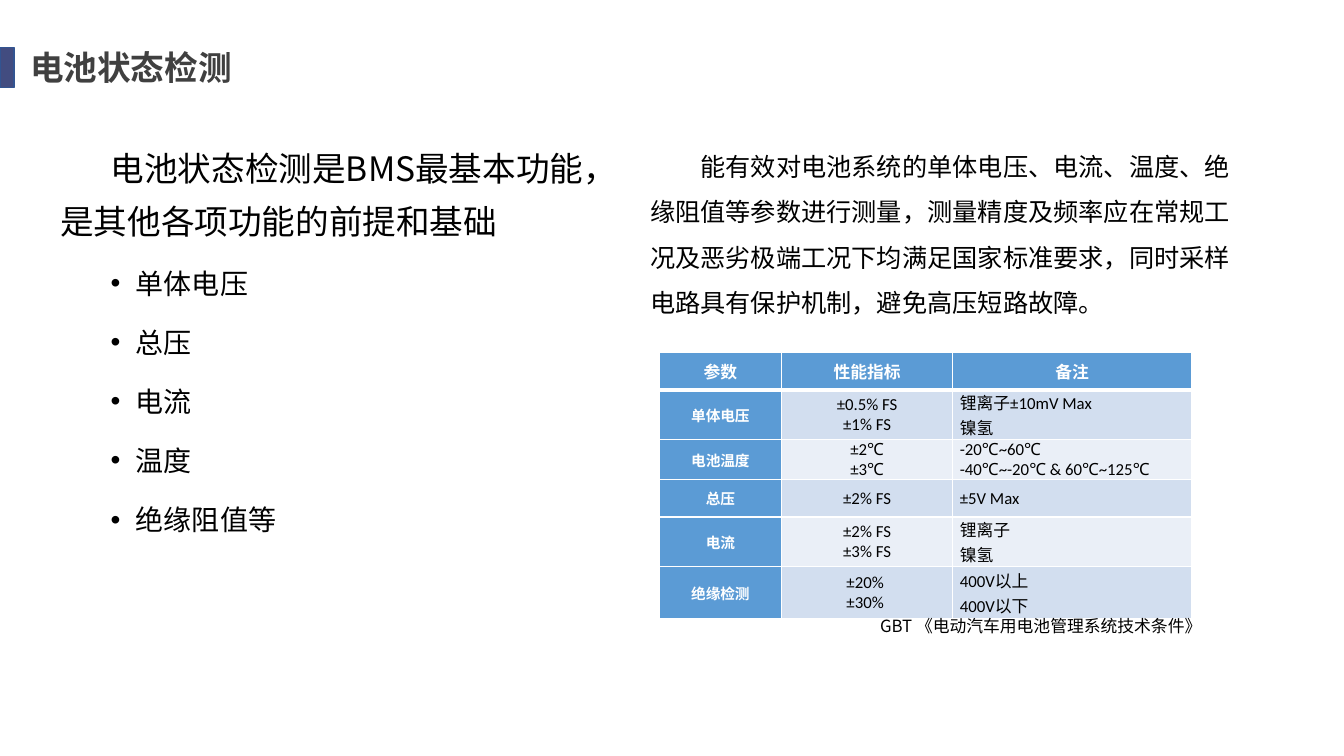
from lxml.etree import SubElement
from pptx import Presentation
from pptx.dml.color import RGBColor
from pptx.enum.shapes import MSO_SHAPE
from pptx.enum.text import MSO_ANCHOR, PP_ALIGN
from pptx.oxml.ns import qn
from pptx.util import Inches, Pt

SANS = "Noto Sans CJK SC"
TITLE = "电池状态检测"
SUMMARY = "电池状态检测是BMS最基本功能，是其他各项功能的前提和基础"
ITEMS = ["单体电压", "总压", "电流", "温度", "绝缘阻值等"]
REQUIREMENT = (
    "能有效对电池系统的单体电压、电流、温度、绝缘阻值等参数进行测量，"
    "测量精度及频率应在常规工况及恶劣极端工况下均满足国家标准要求，"
    "同时采样电路具有保护机制，避免高压短路故障。"
)
STANDARD = "GBT 《电动汽车用电池管理系统技术条件》"
TABLE = [
    (["参数"], ["性能指标"], ["备注"]),
    (["单体电压"], ["±0.5% FS", "±1% FS"], ["锂离子±10mV Max", "镍氢"]),
    (["电池温度"], ["±2℃", "±3℃"], ["-20℃~60℃", "-40℃~-20℃ & 60℃~125℃"]),
    (["总压"], ["±2% FS"], ["±5V Max"]),
    (["电流"], ["±2% FS", "±3% FS"], ["锂离子", "镍氢"]),
    (["绝缘检测"], ["±20% ", "±30% "], ["400V以上", "400V以下"]),
]
COLUMN_WIDTHS = [1.21, 1.7, 2.37]
ROW_HEIGHTS = [0.37, 0.49, 0.4, 0.37, 0.49, 0.52]
HEADER_FILL = "5B9BD5"
BAND_FILLS = ["EAEFF7", "D2DEEF"]


def color(value):
    return RGBColor.from_string(value)


def write(para, text, size=12, font=SANS, fill="000000", bold=False, align=PP_ALIGN.LEFT,
          line=None, before=0, after=0, margin=0, indent=0, bullet=None):
    properties = para._p.get_or_add_pPr()
    if margin:
        properties.set("marL", str(Inches(margin)))
        properties.set("indent", str(Inches(indent)))
    if bullet:
        SubElement(properties, qn("a:buFont"), typeface="Arial")
        SubElement(properties, qn("a:buChar"), char=bullet)
    para.alignment = align
    para.line_spacing = line
    para.space_before, para.space_after = Pt(before), Pt(after)
    span = para.add_run()
    span.text = text
    span.font.size, span.font.bold, span.font.name = Pt(size), bold, font
    span.font.color.rgb = color(fill)
    SubElement(span._r.get_or_add_rPr(), qn("a:ea"), typeface=SANS)


def add_box(page, left, top, width, height, anchor=MSO_ANCHOR.TOP):
    frame = page.shapes.add_textbox(*map(Inches, (left, top, width, height))).text_frame
    frame.word_wrap = True
    frame.vertical_anchor = anchor
    return frame


def add_borders(cell, header):
    properties = cell._tc.get_or_add_tcPr()
    for index, side in enumerate(("lnL", "lnR", "lnT", "lnB")):
        width = 3 if header and side == "lnB" else 1
        border = SubElement(properties, qn("a:" + side), w=str(Pt(width)))
        SubElement(SubElement(border, qn("a:solidFill")), qn("a:srgbClr"), val="FFFFFF")
        properties.remove(border)
        properties.insert(index, border)


def add_metrics(page):
    size = (sum(COLUMN_WIDTHS), sum(ROW_HEIGHTS))
    table = page.shapes.add_table(
        len(TABLE), len(COLUMN_WIDTHS), Inches(6.54), Inches(3.5), *map(Inches, size)).table
    for column, width in zip(table.columns, COLUMN_WIDTHS):
        column.width = Inches(width)
    for i, row in enumerate(TABLE):
        table.rows[i].height = Inches(ROW_HEIGHTS[i])
        for j, lines in enumerate(row):
            cell = table.cell(i, j)
            heading = i == 0 or j == 0
            cell.fill.solid()
            cell.fill.fore_color.rgb = color(HEADER_FILL if heading else BAND_FILLS[i % 2])
            cell.vertical_anchor = MSO_ANCHOR.MIDDLE
            cell.margin_left = cell.margin_right = Inches(0.07)
            cell.margin_top = cell.margin_bottom = 0
            add_borders(cell, i == 0)
            for k, text in enumerate(lines):
                para = cell.text_frame.add_paragraph() if k else cell.text_frame.paragraphs[0]
                write(para, text, font="Calibri", bold=heading,
                      size=10.5 if i and j == 0 else 12,
                      fill="FFFFFF" if heading else "000000",
                      align=PP_ALIGN.LEFT if i and j == 2 else PP_ALIGN.CENTER)


def main():
    deck = Presentation()
    deck.slide_width, deck.slide_height = Inches(13.33), Inches(7.5)
    page = deck.slides.add_slide(deck.slide_layouts[6])

    title = add_box(page, 0.2, 0.46, 4.17, 0.46, MSO_ANCHOR.MIDDLE)
    write(title.paragraphs[0], TITLE, size=24, fill="404040", bold=True, line=0.9)

    accent = page.shapes.add_shape(MSO_SHAPE.RECTANGLE, 0, Inches(0.47), Inches(0.14), Inches(0.4))
    accent.shadow.inherit = False
    accent.fill.solid()
    accent.fill.fore_color.rgb = color("424C80")
    accent.line.color.rgb = color("325491")
    accent.line.width = Pt(1)

    add_metrics(page)
    write(add_box(page, 8.63, 6.06, 3.64, 0.36).paragraphs[0], STANDARD)
    write(add_box(page, 5.85, 1.3, 6.67, 1.92).paragraphs[0], REQUIREMENT,
          size=18, line=1.5, margin=0.5, indent=0.5)

    body = add_box(page, 0, 1.3, 6.04, 4.94)
    write(body.paragraphs[0], SUMMARY, size=24, line=1.3, after=6, margin=0.5, indent=0.5)
    for item in ITEMS:
        write(body.add_paragraph(), item, size=20, line=1.3, before=5, after=6,
              margin=1.25, indent=-0.25, bullet="•")

    deck.save("out.pptx")


if __name__ == "__main__":
    main()
